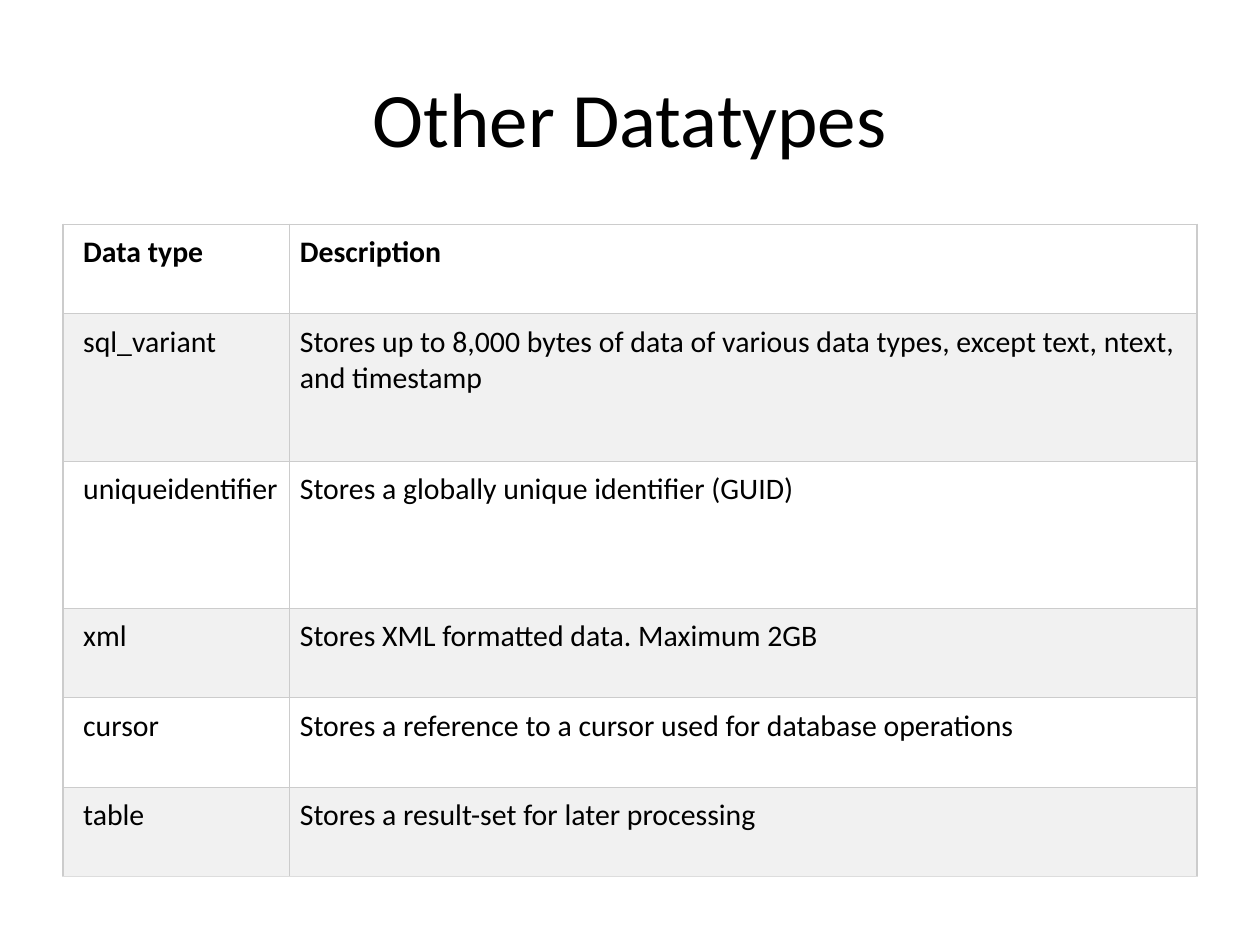
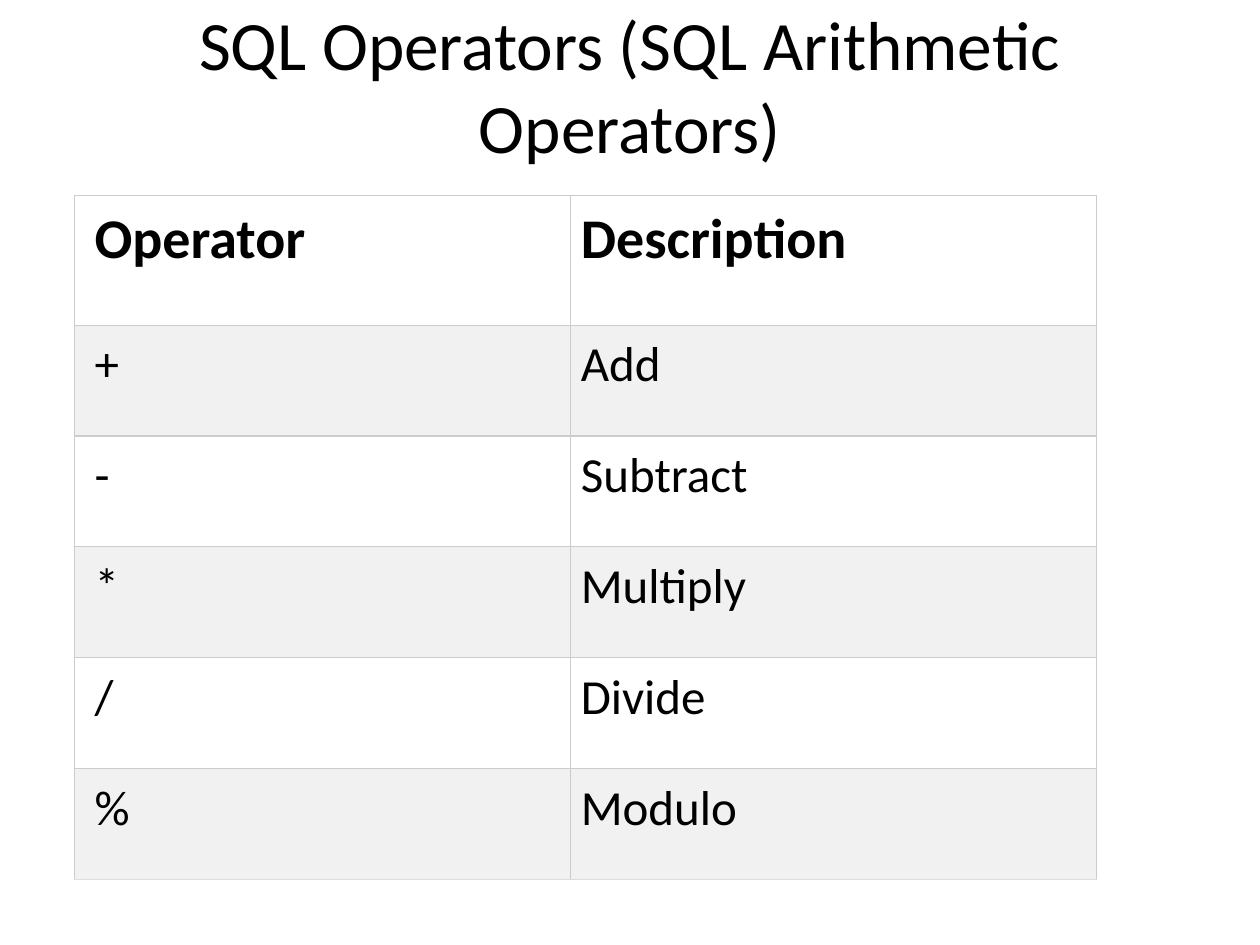
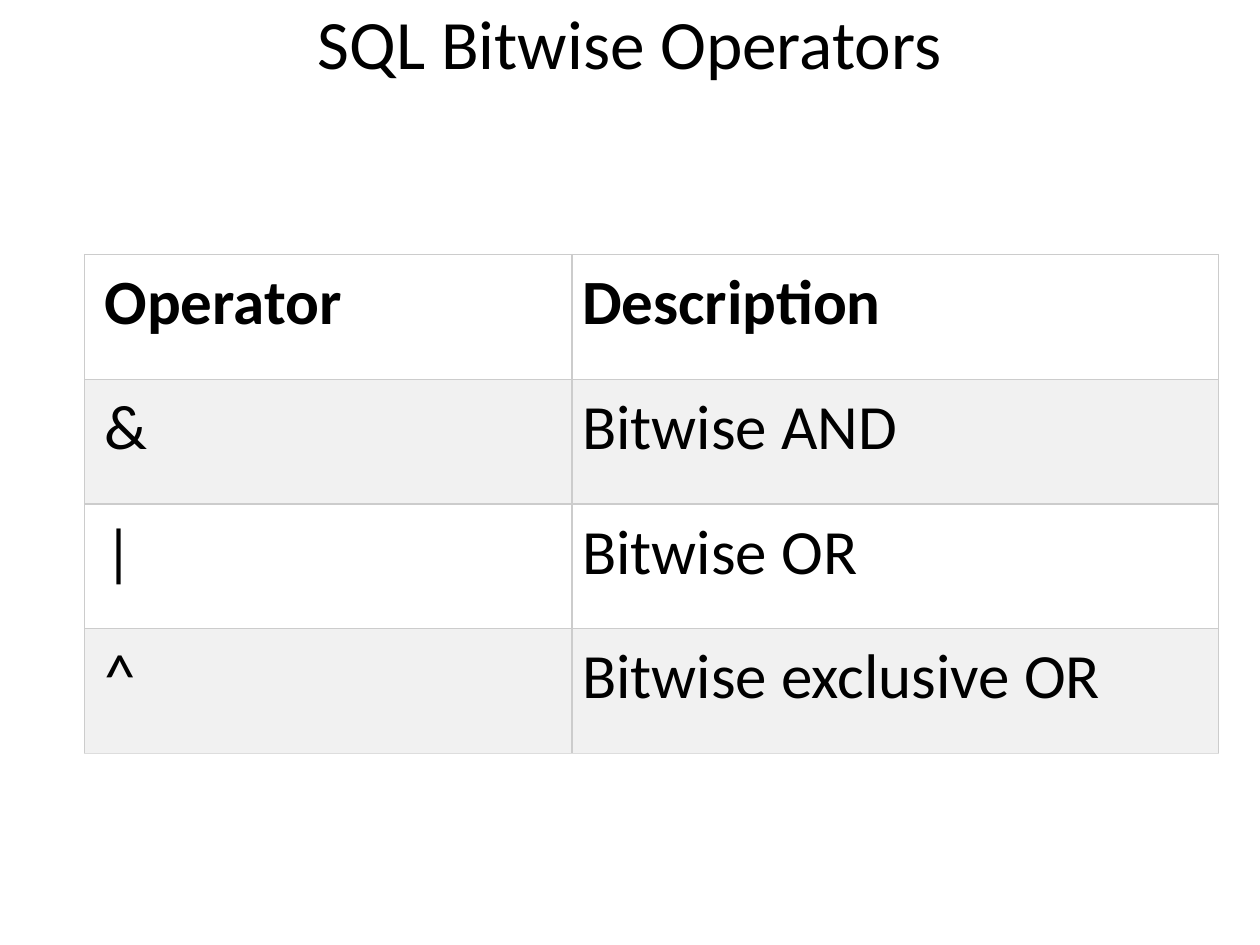
from lxml import etree
from pptx import Presentation
from pptx.dml.color import RGBColor
from pptx.enum import text
from pptx.oxml import ns
from pptx.util import Inches, Pt

FONT = "Calibri"
BLACK, WHITE, BAND = "000000", "FFFFFF", "F1F1F1"
RULE, LAST_RULE = "CCCCCC", "DDDDDD"


def rgb(value):
    """Turn a hex string into a colour."""
    return RGBColor.from_string(value)


def set_borders(cell, bottom):
    """Draw thin rules round a cell, with its own colour below."""
    tc_pr = cell._tc.get_or_add_tcPr()
    sides = (("lnL", RULE), ("lnR", RULE), ("lnT", RULE), ("lnB", bottom))
    for i, (side, color) in enumerate(sides):
        ln = etree.Element(ns.qn("a:" + side), w=str(Pt(0.75)))
        fill = etree.SubElement(ln, ns.qn("a:solidFill"))
        etree.SubElement(fill, ns.qn("a:srgbClr"), val=color)
        tc_pr.insert(i, ln)


# Title: wording, top, height, size. Table: left, top, columns, rows, sizes.
slides = [
    dict(title=("Other Datatypes", 0.3, 1.25, 44),
         left=0.5, top=1.78, cols=[1.8, 7.2],
         heights=[0.71, 1.17, 1.17, 0.71, 0.71, 0.71],
         head_size=17, body_size=17,
         rows=[("Data type", "Description"),
               ("sql_variant", "Stores up to 8,000 bytes of data of various "
                "data types, except text, ntext, and timestamp"),
               ("uniqueidentifier",
                "Stores a globally unique identifier (GUID)"),
               ("xml", "Stores XML formatted data. Maximum 2GB"),
               ("cursor", "Stores a reference to a cursor used for "
                "database operations"),
               ("table", "Stores a result-set for later processing")]),
    dict(title=("SQL Operators (SQL Arithmetic Operators)", 0, 1.34, 39.6),
         left=0.59, top=1.55, cols=[3.94, 4.17],
         heights=[1.03] + [0.88] * 5,
         head_size=32, body_size=28,
         rows=[("Operator", "Description"), ("+", "Add"), ("-", "Subtract"),
               ("*", "Multiply"), ("/", "Divide"), ("%", "Modulo")]),
    dict(title=("SQL Bitwise Operators", 0, 0.67, 39.6),
         left=0.67, top=2.02, cols=[3.87, 5.13],
         heights=[0.99] * 4,
         head_size=36, body_size=36,
         rows=[("Operator", "Description"), ("&", "Bitwise AND"),
               ("|", "Bitwise OR"), ("^", "Bitwise exclusive OR")]),
]

prs = Presentation()
prs.slide_width, prs.slide_height = Inches(10), Inches(7.5)

for spec_row in slides:
    s = prs.slides.add_slide(prs.slide_layouts[6])
    s.background.fill.solid()
    s.background.fill.fore_color.rgb = rgb(WHITE)

    title, top, height, size = spec_row["title"]
    sp = s.shapes.add_textbox(Inches(0.5), Inches(top), Inches(9), Inches(height))
    tf = sp.text_frame
    tf.word_wrap = True
    tf.margin_top = tf.margin_bottom = 0
    tf.vertical_anchor = text.MSO_ANCHOR.MIDDLE
    p = tf.paragraphs[0]
    p.text = title
    p.alignment = text.PP_ALIGN.CENTER
    p.font.name, p.font.size = FONT, Pt(size)
    p.font.color.rgb = rgb(BLACK)

    rows, cols, heights = spec_row["rows"], spec_row["cols"], spec_row["heights"]
    table = s.shapes.add_table(
        len(rows), len(cols), Inches(spec_row["left"]), Inches(spec_row["top"]),
        Inches(sum(cols)), Inches(sum(heights))).table
    for column, width in zip(table.columns, cols):
        column.width = Inches(width)

    for i, row in enumerate(rows):
        table.rows[i].height = Inches(heights[i])
        for j, words in enumerate(row):
            cell = table.cell(i, j)
            cell.fill.solid()
            cell.fill.fore_color.rgb = rgb(BAND if i % 2 else WHITE)
            cell.margin_left = Inches(0.08 if j else 0.16)
            cell.margin_right = cell.margin_top = cell.margin_bottom = Inches(0.08)
            set_borders(cell, LAST_RULE if i == len(rows) - 1 else RULE)
            p = cell.text_frame.paragraphs[0]
            p.text = words
            p.font.name = FONT
            p.font.size = Pt(spec_row["body_size"] if i else spec_row["head_size"])
            p.font.bold = i == 0
            p.font.color.rgb = rgb(BLACK)

prs.save("out.pptx")
